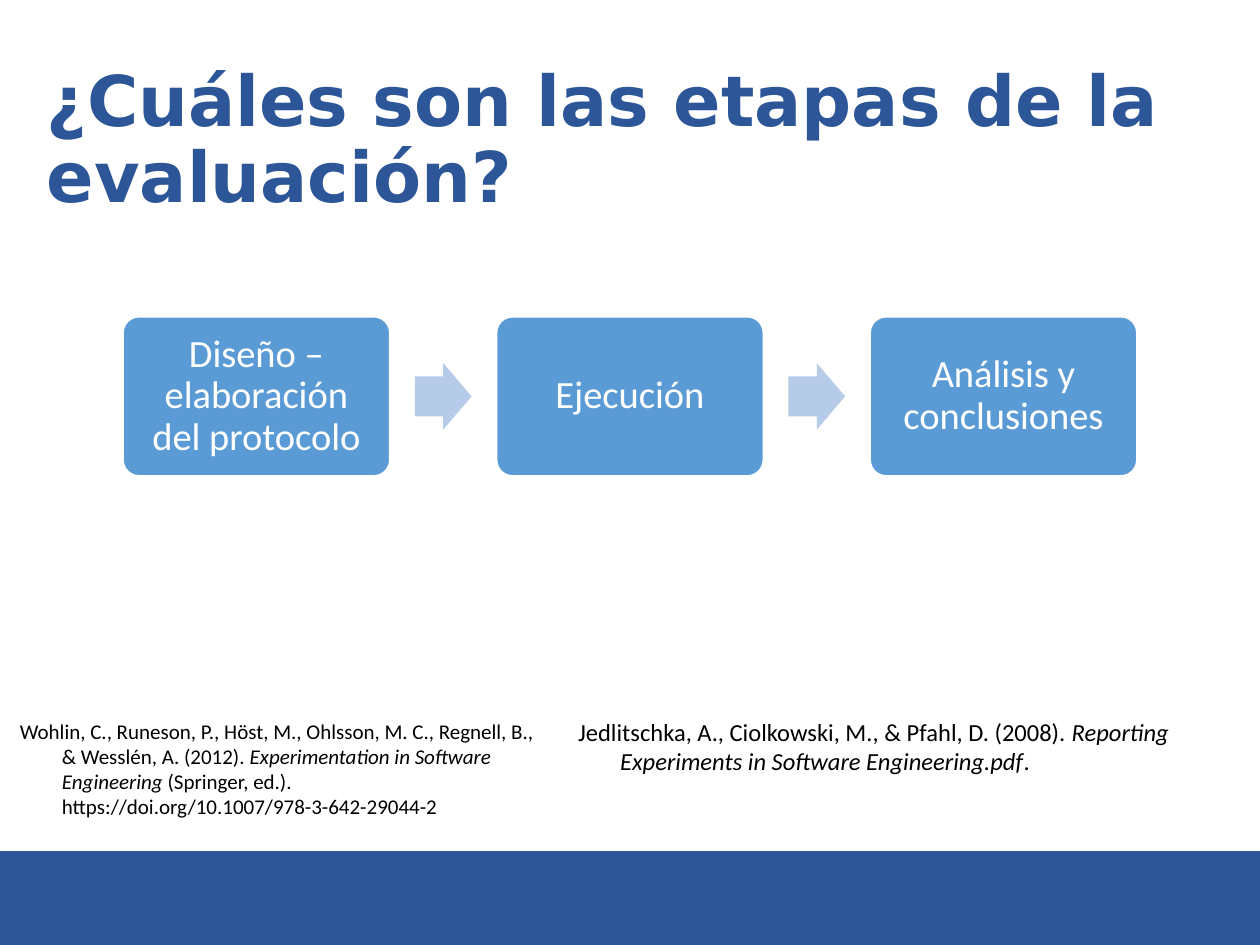
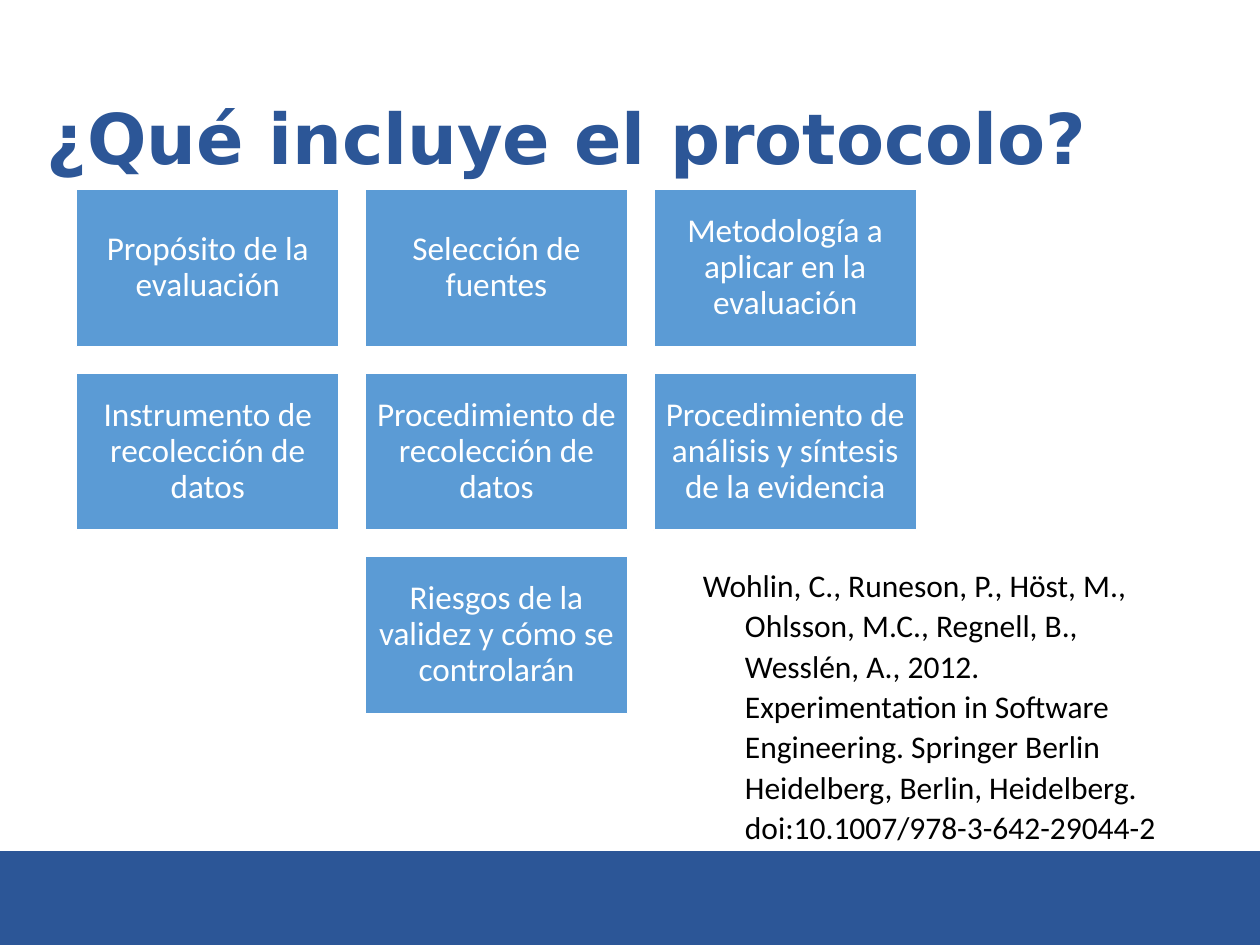
from dataclasses import dataclass

from pptx import Presentation
from pptx.dml.color import RGBColor as Rgb
from pptx.enum.shapes import MSO_SHAPE as Kind
from pptx.enum.text import MSO_ANCHOR as Anchor, MSO_AUTO_SIZE as Fit, PP_ALIGN as Align
from pptx.util import Pt


@dataclass(frozen=True)
class Theme:
    """Colours, fonts and type sizes of the deck."""
    navy: str = "2C5697"
    blue: str = "5B9BD5"
    pale: str = "B5CBE7"
    white: str = "FFFFFF"
    black: str = "000000"
    head: str = "DejaVu Sans"
    body: str = "Calibri"
    title: int = 40
    step: int = 22
    tile: int = 19
    cite: int = 18
    mid: int = 14
    small: int = 12


LOOK = Theme()
WIDE, HIGH = 720, 540
STEPS = ["Diseño – elaboración del protocolo", "Ejecución", "Análisis y conclusiones"]
TILES = [
    ["Propósito de la evaluación", "Selección de fuentes",
     "Metodología a aplicar en la evaluación"],
    ["Instrumento de recolección de datos", "Procedimiento de recolección de datos",
     "Procedimiento de análisis y síntesis de la evidencia"],
    ["Riesgos de la validez y cómo se controlarán"],
]
BOOK = [
    ("Wohlin, C., Runeson, P., Höst, M., Ohlsson, M. C., Regnell, B., "
     "& Wesslén, A. (2012). ", False),
    ("Experimentation in Software Engineering", True),
    (" (Springer, ed.). https://doi.org/10.1007/978-3-642-29044-2", False),
]
PAPER = [
    ("Jedlitschka, A., Ciolkowski, M., & Pfahl, D. (2008). ", False),
    ("Reporting Experiments in Software Engineering.pdf", True),
    (".", False),
]
SOURCE = [
    ("Wohlin, C., Runeson, P., Höst, M., Ohlsson, M.C., Regnell, B., Wesslén, A., 2012. "
     "Experimentation in Software Engineering. Springer Berlin Heidelberg, Berlin, "
     "Heidelberg. doi:10.1007/978-3-642-29044-2", False),
]


def add_run(para, text, size, color, font=LOOK.body, bold=False, slant=False):
    """Append one formatted run to a paragraph."""
    run = para.add_run()
    run.text = text
    face = run.font
    face.name, face.size, face.bold, face.italic = font, Pt(size), bold, slant
    face.color.rgb = Rgb.from_string(color)


def add_form(slide, kind, box, fill, line=None):
    """Draw a filled preset shape in a box, with an outline if one is given."""
    form = slide.shapes.add_shape(kind, *map(Pt, box))
    form.shadow.inherit = False
    form.fill.solid()
    form.fill.fore_color.rgb = Rgb.from_string(fill)
    if line:
        form.line.color.rgb = Rgb.from_string(line)
        form.line.width = Pt(1)
    else:
        form.line.fill.background()
    return form


def add_card(slide, kind, box, text, size, pad):
    """Draw a blue card with centred white text."""
    card = add_form(slide, kind, box, LOOK.blue, LOOK.white)
    frame = card.text_frame
    frame.word_wrap = True
    frame.vertical_anchor = Anchor.MIDDLE
    frame.margin_left = frame.margin_right = Pt(pad)
    frame.margin_top = frame.margin_bottom = Pt(pad)
    para = frame.paragraphs[0]
    para.alignment = Align.CENTER
    para.line_spacing = 0.9
    add_run(para, text, size, LOOK.white)
    return card


def add_band(deck, slide):
    """Place the navy foot band on the slide master."""
    top = 486.75
    band = add_form(slide, Kind.RECTANGLE, (0, top, WIDE, HIGH - top), LOOK.navy, LOOK.navy)
    deck.slide_master.shapes.element.insert(2, band.element)


def add_title(slide, text):
    """Fill and format the title placeholder."""
    title = slide.shapes.title
    title.left, title.top, title.width, title.height = map(Pt, (19.6, 28.8, 683.3, 104.4))
    frame = title.text_frame
    frame.word_wrap = True
    frame.auto_size = Fit.NONE
    frame.vertical_anchor = Anchor.MIDDLE
    para = frame.paragraphs[0]
    para.alignment = Align.LEFT
    para.line_spacing = 0.9
    add_run(para, text, LOOK.title, LOOK.navy, LOOK.head, bold=True)


def add_cite(slide, box, parts, size, pitch=1.0, after=0):
    """Write a reference with a hanging indent."""
    frame = slide.shapes.add_textbox(*map(Pt, box)).text_frame
    frame.word_wrap = True
    frame.auto_size = Fit.SHAPE_TO_FIT_TEXT
    para = frame.paragraphs[0]
    props = para._p.get_or_add_pPr()
    props.set("marL", str(Pt(24)))
    props.set("indent", str(Pt(-24)))
    para.line_spacing = pitch
    para.space_after = Pt(after)
    for text, slant in parts:
        add_run(para, text, size, LOOK.black, slant=slant)


def add_flow(slide, box, steps):
    """Lay out step cards in a row, with an arrow in each gap."""
    left, top, width, high = box
    card, tip, rise = 152.5, 32.4, 38
    gap = (width - card * len(steps)) / (len(steps) - 1)
    for i, text in enumerate(steps):
        x = left + i * (card + gap)
        if i:
            spot = (x - (gap + tip) / 2, top + (high - rise) / 2, tip, rise)
            arrow = add_form(slide, Kind.RIGHT_ARROW, spot, LOOK.pale)
            arrow.adjustments[0], arrow.adjustments[1] = 0.6, 0.5
        step = add_card(slide, Kind.ROUNDED_RECTANGLE, (x, top, card, high),
                        text, LOOK.step, 6.5)
        step.adjustments[0] = 0.1


def add_grid(slide, box, rows):
    """Lay out tiles in rows, centring a short row."""
    left, top, width, high = box
    gap = 15
    cols = max(map(len, rows))
    wide = (width - gap * (cols - 1)) / cols
    tall = (high - gap * (len(rows) - 1)) / len(rows)
    for i, row in enumerate(rows):
        shift = (cols - len(row)) / 2
        for j, text in enumerate(row):
            spot = (left + (j + shift) * (wide + gap), top + i * (tall + gap), wide, tall)
            add_card(slide, Kind.RECTANGLE, spot, text, LOOK.tile, 5.7)


def add_stages(slide):
    """Build the slide on the stages of the evaluation."""
    add_title(slide, "¿Cuáles son las etapas de la evaluación?")
    add_flow(slide, (70.3, 181, 579.4, 91), STEPS)
    add_cite(slide, (4.3, 406.8, 314.6, 65.5), BOOK, LOOK.small)
    add_cite(slide, (323.3, 406, 360, 41), PAPER, LOOK.mid)


def add_plan(slide):
    """Build the slide on the contents of the protocol."""
    add_title(slide, "¿Qué incluye el protocolo?")
    add_grid(slide, (43.7, 108.2, 480, 299.6), TILES)
    add_cite(slide, (394.6, 318.2, 293, 170), SOURCE, LOOK.cite, 1.07, 8)


def main():
    """Build the deck and save it."""
    deck = Presentation()
    deck.slide_width, deck.slide_height = Pt(WIDE), Pt(HIGH)
    base = deck.slide_layouts[5]
    first, second = (deck.slides.add_slide(base) for _ in range(2))
    add_band(deck, first)
    add_stages(first)
    add_plan(second)
    deck.save("out.pptx")


if __name__ == "__main__":
    main()
